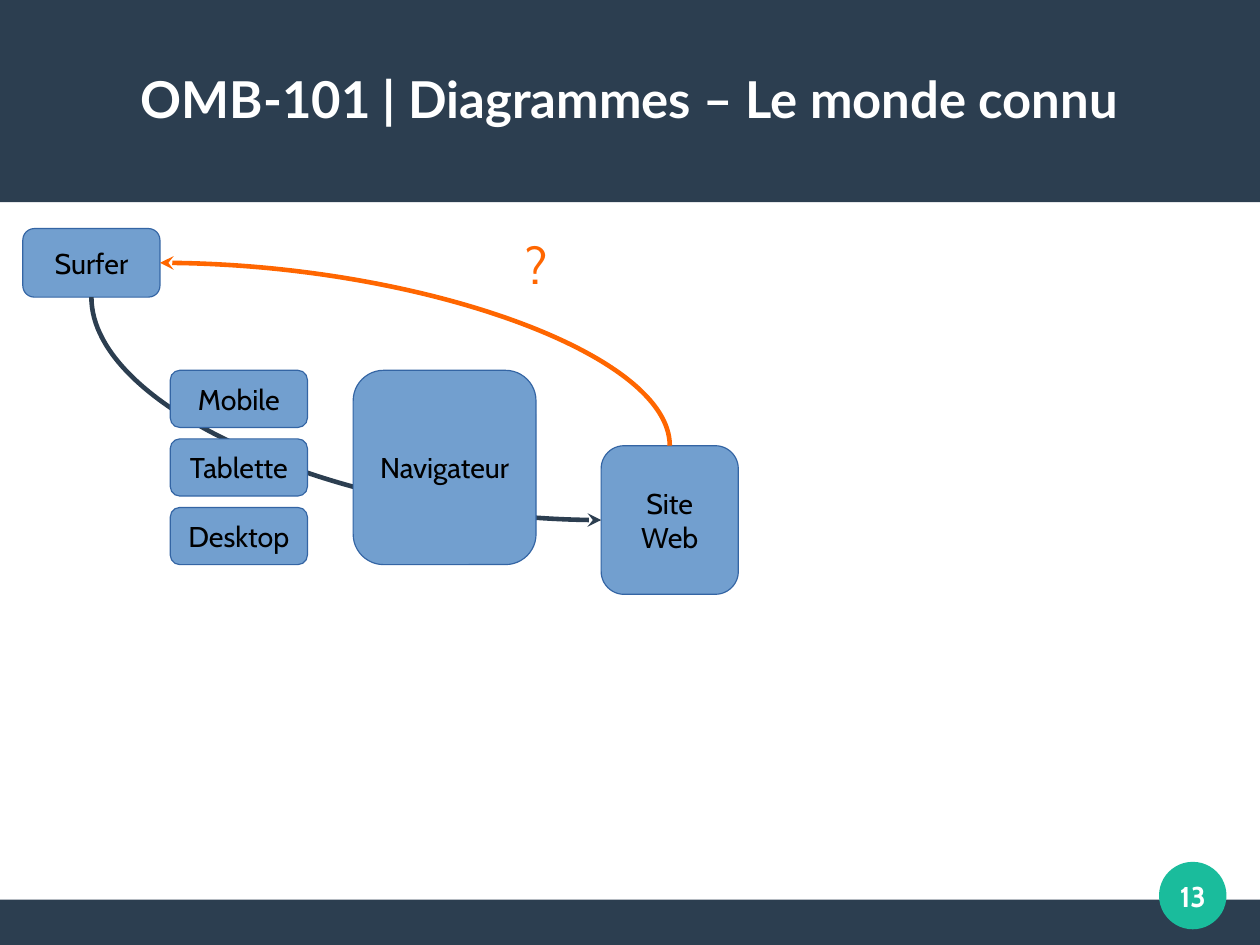
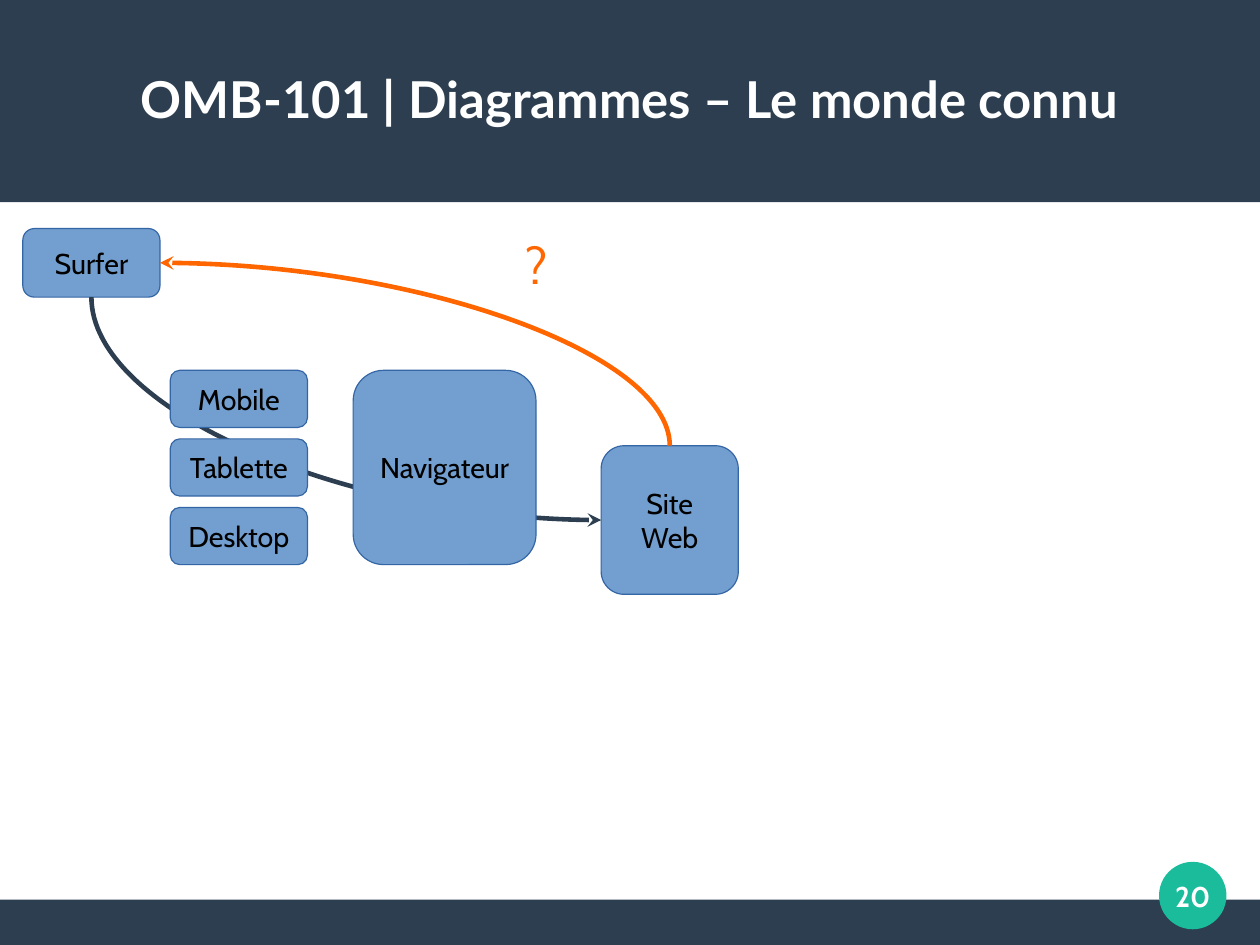
from dataclasses import dataclass

from lxml.etree import SubElement
from pptx import Presentation
from pptx.dml.color import RGBColor
from pptx.enum.shapes import MSO_CONNECTOR, MSO_SHAPE
from pptx.enum.text import MSO_ANCHOR, MSO_AUTO_SIZE, PP_ALIGN
from pptx.oxml.ns import qn
from pptx.shapes.autoshape import Shape
from pptx.slide import Slide, SlideLayout
from pptx.text.text import TextFrame
from pptx.util import Inches, Pt

COLORS = {
    "band": "2C3E50",
    "badge": "1ABC9C",
    "box": "729FCF",
    "border": "3465A4",
    "question": "FF6600",
    "light": "FFFFFF",
    "dark": "000000",
}
CENTIMETERS_PER_INCH = 2.54
PAGE_WIDTH = 28 / CENTIMETERS_PER_INCH
PAGE_HEIGHT = 21 / CENTIMETERS_PER_INCH
FOOTER_TOP = 7.87
TITLE = "OMB-101 | Diagrammes – Le monde connu"
PAGE_NUMBERS = ("13", "20")
TOP, LEFT, BOTTOM, RIGHT = range(4)


@dataclass(frozen=True)
class Area:
    left: float
    top: float
    width: float
    height: float

    def lengths(self) -> tuple[int, ...]:
        return tuple(Inches(value) for value in (self.left, self.top, self.width, self.height))


@dataclass(frozen=True)
class Decoration:
    preset: MSO_SHAPE
    area: Area
    color: str


@dataclass(frozen=True)
class Box:
    text: str
    area: Area


@dataclass(frozen=True)
class Arrow:
    start: str
    start_side: int
    end: str
    end_side: int
    color: str


@dataclass(frozen=True)
class TextStyle:
    font: str
    size: int
    color: str
    bold: bool = False
    align: PP_ALIGN = PP_ALIGN.CENTER


DECORATIONS = (
    Decoration(MSO_SHAPE.RECTANGLE, Area(0, FOOTER_TOP, PAGE_WIDTH, PAGE_HEIGHT - FOOTER_TOP), "band"),
    Decoration(MSO_SHAPE.RECTANGLE, Area(0, 0, PAGE_WIDTH, 1.77), "band"),
    Decoration(MSO_SHAPE.OVAL, Area(10.14, 7.54, 0.59, 0.59), "badge"),
)
TITLE_AREA = Area(0.39, 0.33, 10.24, 1.05)
NUMBER_AREA = Area(10.04, 7.44, 0.79, 0.79)
QUESTION_AREA = Area(4.5, 2, 0.43, 0.7)

TITLE_STYLE = TextStyle("Lato", 32, "light", bold=True)
NUMBER_STYLE = TextStyle("Cabin", 18, "light", bold=True)
BOX_STYLE = TextStyle("Cabin", 18, "dark")
QUESTION_STYLE = TextStyle("Cabin", 32, "question", align=PP_ALIGN.LEFT)

SITE = Box("Site\nWeb", Area(5.26, 3.9, 1.2, 1.3))
SURFER = Box("Surfer", Area(0.2, 2, 1.2, 0.6))
DEVICES = tuple(
    Box(name, Area(1.49, 3.24 + 0.6 * row, 1.2, 0.5))
    for row, name in enumerate(("Mobile", "Tablette", "Desktop"))
)
BROWSER = Box("Navigateur", Area(3.09, 3.24, 1.6, 1.7))
DIAGRAM = (
    SITE,
    SURFER,
    Arrow(SURFER.text, BOTTOM, SITE.text, LEFT, "band"),
    *DEVICES,
    BROWSER,
    Arrow(SITE.text, TOP, SURFER.text, RIGHT, "question"),
)


def color_of(name: str) -> RGBColor:
    return RGBColor.from_string(COLORS[name])


def write_text(frame: TextFrame, text: str, style: TextStyle) -> None:
    frame.text = text
    for para in frame.paragraphs:
        para.alignment = style.align
        para.font.name = style.font
        para.font.size = Pt(style.size)
        para.font.bold = style.bold
        para.font.color.rgb = color_of(style.color)


def center_without_margins(frame: TextFrame) -> None:
    frame.margin_left = frame.margin_right = frame.margin_top = frame.margin_bottom = 0
    frame.vertical_anchor = MSO_ANCHOR.MIDDLE
    frame.auto_size = MSO_AUTO_SIZE.NONE
    frame.word_wrap = True


def add_filled_shape(page: Slide, preset: MSO_SHAPE, area: Area, color: str) -> Shape:
    shape = page.shapes.add_shape(preset, *area.lengths())
    shape.shadow.inherit = False
    shape.fill.solid()
    shape.fill.fore_color.rgb = color_of(color)
    shape.line.fill.background()
    return shape


def move_decorations_to_layout(page: Slide, layout: SlideLayout) -> None:
    for position, item in enumerate(DECORATIONS, start=2):
        shape = add_filled_shape(page, item.preset, item.area, item.color)
        layout.shapes.element.insert(position, shape.element)


def add_box(page: Slide, box: Box) -> Shape:
    shape = add_filled_shape(page, MSO_SHAPE.ROUNDED_RECTANGLE, box.area, "box")
    shape.line.color.rgb = color_of("border")
    shape.line.width = Pt(0)
    frame = shape.text_frame
    frame.word_wrap = False
    frame.vertical_anchor = MSO_ANCHOR.MIDDLE
    write_text(frame, box.text, BOX_STYLE)
    return shape


def add_arrow(page: Slide, arrow: Arrow, boxes: dict[str, Shape]) -> None:
    connector = page.shapes.add_connector(MSO_CONNECTOR.CURVE, 0, 0, 0, 0)
    connector.begin_connect(boxes[arrow.start], arrow.start_side)
    connector.end_connect(boxes[arrow.end], arrow.end_side)
    begin_x, begin_y = connector.begin_x, connector.begin_y
    end_x, end_y = connector.end_x, connector.end_y

    connector.width, connector.height = abs(end_y - begin_y), abs(end_x - begin_x)
    connector.left = (begin_x + end_x - connector.width) // 2
    connector.top = (begin_y + end_y - connector.height) // 2
    properties = connector.element.find(qn("p:spPr"))
    frame = properties.find(qn("a:xfrm"))
    frame.set("rot", str(270 * 60000))
    frame.set("flipH", str(int(end_y > begin_y)))
    frame.set("flipV", str(int(end_x < begin_x)))
    properties.find(qn("a:prstGeom")).set("prst", "curvedConnector2")

    connector.line.color.rgb = color_of(arrow.color)
    connector.line.width = Pt(2.89)
    SubElement(properties.find(qn("a:ln")), qn("a:tailEnd"), type="stealth")
    SubElement(properties, qn("a:effectLst"))


def add_diagram(page: Slide) -> None:
    boxes: dict[str, Shape] = {}
    for item in DIAGRAM:
        if isinstance(item, Box):
            boxes[item.text] = add_box(page, item)
        else:
            add_arrow(page, item, boxes)
    question = page.shapes.add_textbox(*QUESTION_AREA.lengths()).text_frame
    question.word_wrap = False
    question.auto_size = MSO_AUTO_SIZE.SHAPE_TO_FIT_TEXT
    write_text(question, "?", QUESTION_STYLE)


def fill_page(page: Slide, number: str) -> None:
    title = page.shapes.title
    title.left, title.top, title.width, title.height = TITLE_AREA.lengths()
    center_without_margins(title.text_frame)
    write_text(title.text_frame, TITLE, TITLE_STYLE)
    add_diagram(page)
    number_frame = page.shapes.add_textbox(*NUMBER_AREA.lengths()).text_frame
    center_without_margins(number_frame)
    write_text(number_frame, number, NUMBER_STYLE)


def main() -> None:
    deck = Presentation()
    deck.slide_width, deck.slide_height = Inches(PAGE_WIDTH), Inches(PAGE_HEIGHT)
    layout = deck.slide_layouts.get_by_name("Title Only")
    pages = [deck.slides.add_slide(layout) for _ in PAGE_NUMBERS]
    move_decorations_to_layout(pages[0], layout)
    for page, number in zip(pages, PAGE_NUMBERS):
        fill_page(page, number)
    deck.save("out.pptx")


if __name__ == "__main__":
    main()
